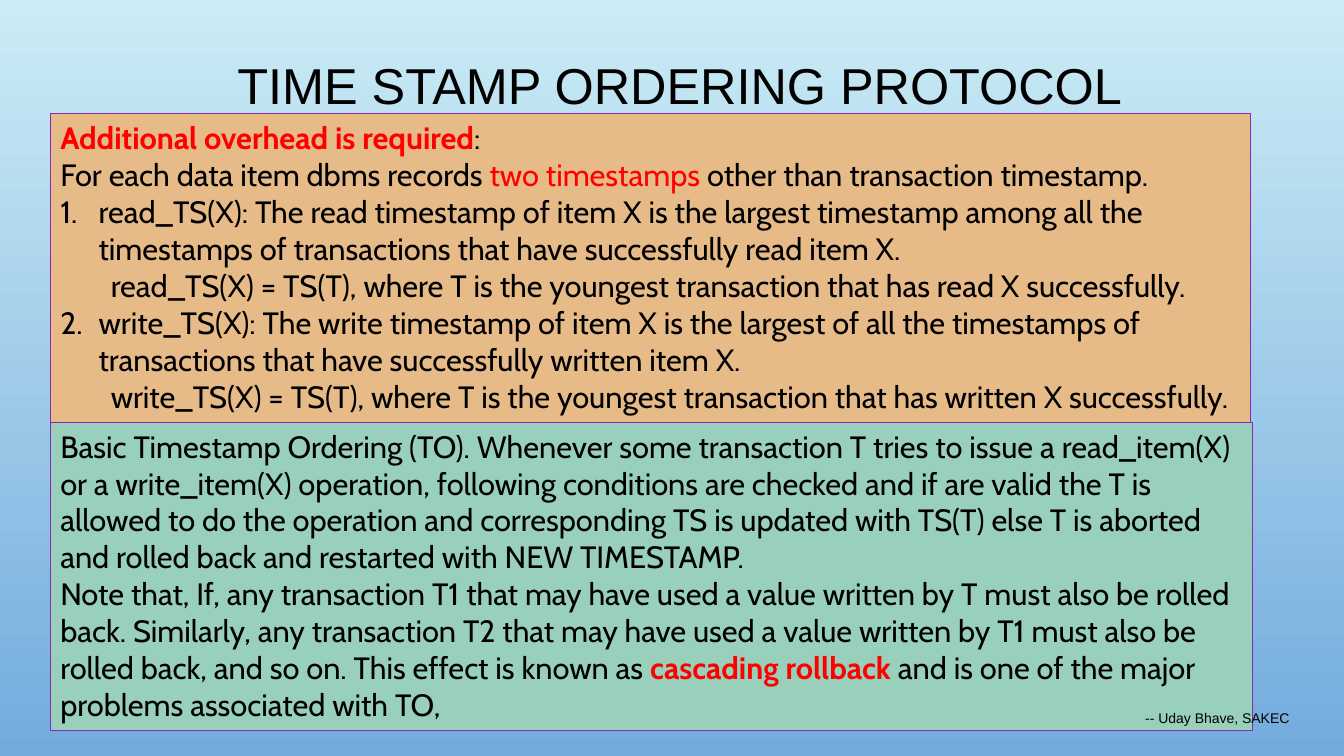
from lxml import etree
from pptx import Presentation
from pptx.dml.color import RGBColor
from pptx.enum.shapes import MSO_SHAPE
from pptx.enum.text import MSO_ANCHOR, MSO_AUTO_SIZE, PP_ALIGN
from pptx.oxml.ns import qn
from pptx.util import Inches, Pt

RECT = MSO_SHAPE.RECTANGLE
TOP, MIDDLE = MSO_ANCHOR.TOP, MSO_ANCHOR.MIDDLE
LEFT, CENTER = PP_ALIGN.LEFT, PP_ALIGN.CENTER
GROW, FIXED = MSO_AUTO_SIZE.SHAPE_TO_FIT_TEXT, MSO_AUTO_SIZE.NONE
TITLE_ONLY = 5
PLAIN, NUMBERED, FORMULA = "plain", "numbered", "formula"


def rgb(value):
    return RGBColor.from_string(value)


class Deck:
    """Style and current slide; positions are percentages of the slide."""
    TEXT, ACCENT, BORDER = "000000", "FF0000", "8A28B8"
    SKY = ("CBECF5", "73ABDD")
    HEAD_FONT, BODY_FONT = "Arial", "Cabin"

    def __init__(self):
        self.prs = Presentation()
        self.prs.slide_width, self.prs.slide_height = Inches(13.33), Inches(7.5)
        self.s = self.prs.slides.add_slide(self.prs.slide_layouts[TITLE_ONLY])

    def box(self, x, y, w, h):
        sw, sh = self.prs.slide_width, self.prs.slide_height
        return [int(part * side / 100) for part, side in zip((x, y, w, h), (sw, sh, sw, sh))]

    def background(self):
        fill = self.s.background.fill
        fill.gradient()
        fill.gradient_angle = 270
        for stop, color, position in zip(fill.gradient_stops, self.SKY, (0, 1)):
            stop.color.rgb, stop.position = rgb(color), position

    def run(self, p, text, size, font, color=TEXT, bold=False):
        r = p.add_run()
        r.text = text
        r.font.size, r.font.name, r.font.bold = Pt(size), font, bold
        r.font.color.rgb = rgb(color)

    def indent(self, p, kind):
        pPr = p._p.get_or_add_pPr()
        if kind == NUMBERED:
            pPr.set("marL", str(Inches(0.38)))
            pPr.set("indent", str(Inches(-0.38)))
            etree.SubElement(pPr, qn("a:buAutoNum"), type="arabicPeriod")
        elif kind == FORMULA:
            p.level = 1
            pPr.set("marL", str(Inches(0.5)))
            pPr.set("indent", "0")

    def title(self, text, *place):
        sp = self.s.shapes.title
        sp.left, sp.top, sp.width, sp.height = self.box(*place)
        tf = sp.text_frame
        tf.vertical_anchor, tf.auto_size, tf.word_wrap = MIDDLE, FIXED, True
        p = tf.paragraphs[0]
        p.alignment, p.line_spacing = CENTER, 0.9
        self.run(p, text, 36, self.HEAD_FONT)

    def panel(self, paragraphs, fill, *place):
        sp = self.s.shapes.add_shape(RECT, *self.box(*place))
        sp.shadow.inherit = False
        sp.fill.solid()
        sp.fill.fore_color.rgb = rgb(fill)
        sp.line.color.rgb, sp.line.width = rgb(self.BORDER), Pt(0.75)
        tf = sp.text_frame
        tf.vertical_anchor, tf.auto_size, tf.word_wrap = TOP, GROW, True
        for i, (kind, *runs) in enumerate(paragraphs):
            p = tf.add_paragraph() if i else tf.paragraphs[0]
            self.indent(p, kind)
            p.alignment = LEFT
            for text, *style in runs:
                self.run(p, text, 22, self.BODY_FONT, *style)

    def credit(self, text, *place):
        tf = self.s.shapes.add_textbox(*self.box(*place)).text_frame
        tf.vertical_anchor, tf.word_wrap = MIDDLE, True
        self.run(tf.paragraphs[0], text, 10, self.HEAD_FONT)


OVERHEAD = [
    (PLAIN, ("Additional overhead is required", Deck.ACCENT, True), (":",)),
    (PLAIN, ("For each data item dbms records",), (" two timestamps ", Deck.ACCENT),
     ("other than transaction timestamp.",)),
    (NUMBERED, ("read_TS(X): The read timestamp of item X is the largest timestamp among all "
                "the timestamps of transactions that have successfully read item X.",)),
    (FORMULA, ("read_TS(X) = TS(T), where T is the youngest transaction that has read X "
               "successfully.",)),
    (NUMBERED, ("write_TS(X): The write timestamp of item X is the largest of all the "
                "timestamps of transactions that have successfully written item X.",)),
    (FORMULA, ("write_TS(X) = TS(T), where T is the youngest transaction that has written X "
               "successfully.",)),
]
BASIC_ORDERING = [
    (PLAIN, ("Basic Timestamp Ordering (TO). Whenever some transaction T tries to issue a "
             "read_item(X) or a write_item(X) operation, following conditions are checked and "
             "if are valid the T is allowed to do the operation and corresponding TS is updated "
             "with TS(T) else T is aborted and rolled back and restarted with NEW TIMESTAMP.",)),
    (PLAIN, ("Note that, If, any transaction T1 that may have used a value written by T must "
             "also be rolled back. Similarly, any transaction T2 that may have used a value "
             "written by T1 must also be rolled back, and so on. This effect is known as ",),
     ("cascading rollback ", Deck.ACCENT, True),
     ("and is one of the major problems associated with TO,",)),
]


def main():
    deck = Deck()
    deck.background()
    deck.title("TIME STAMP ORDERING PROTOCOL", 8.1, 0, 85, 23.33)

    # Two stacked panels of equal height
    left, top, height = 3.75, 15.07, 40.8
    deck.panel(OVERHEAD, "E7BB88", left, top, 89.27, height)
    deck.panel(BASIC_ORDERING, "98D0BC", left, top + height, 89.42, height)

    # Author line
    deck.credit("-- Uday Bhave, SAKEC", 84.47, 92.27, 13.05, 5.33)
    deck.prs.save("out.pptx")


if __name__ == "__main__":
    main()
